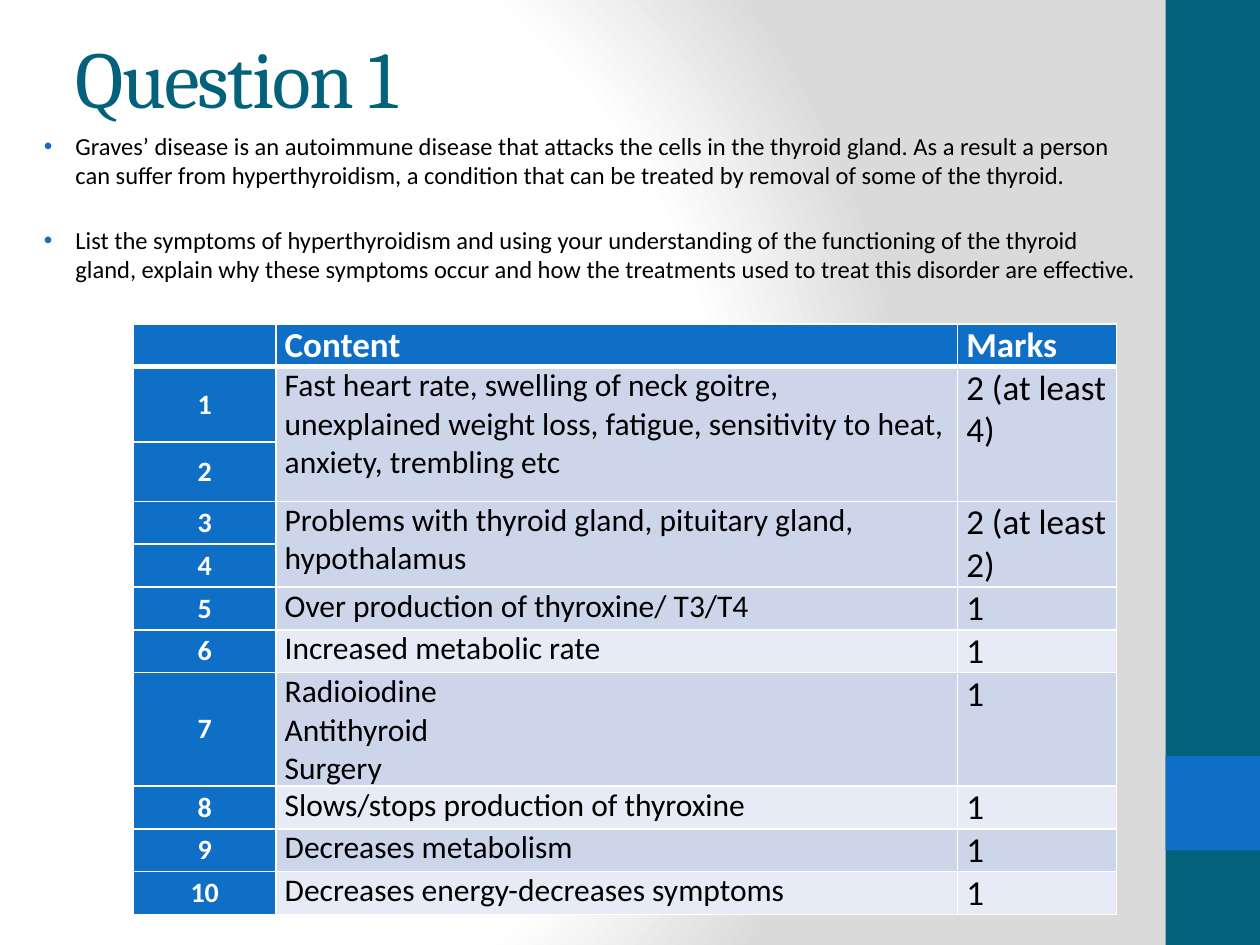
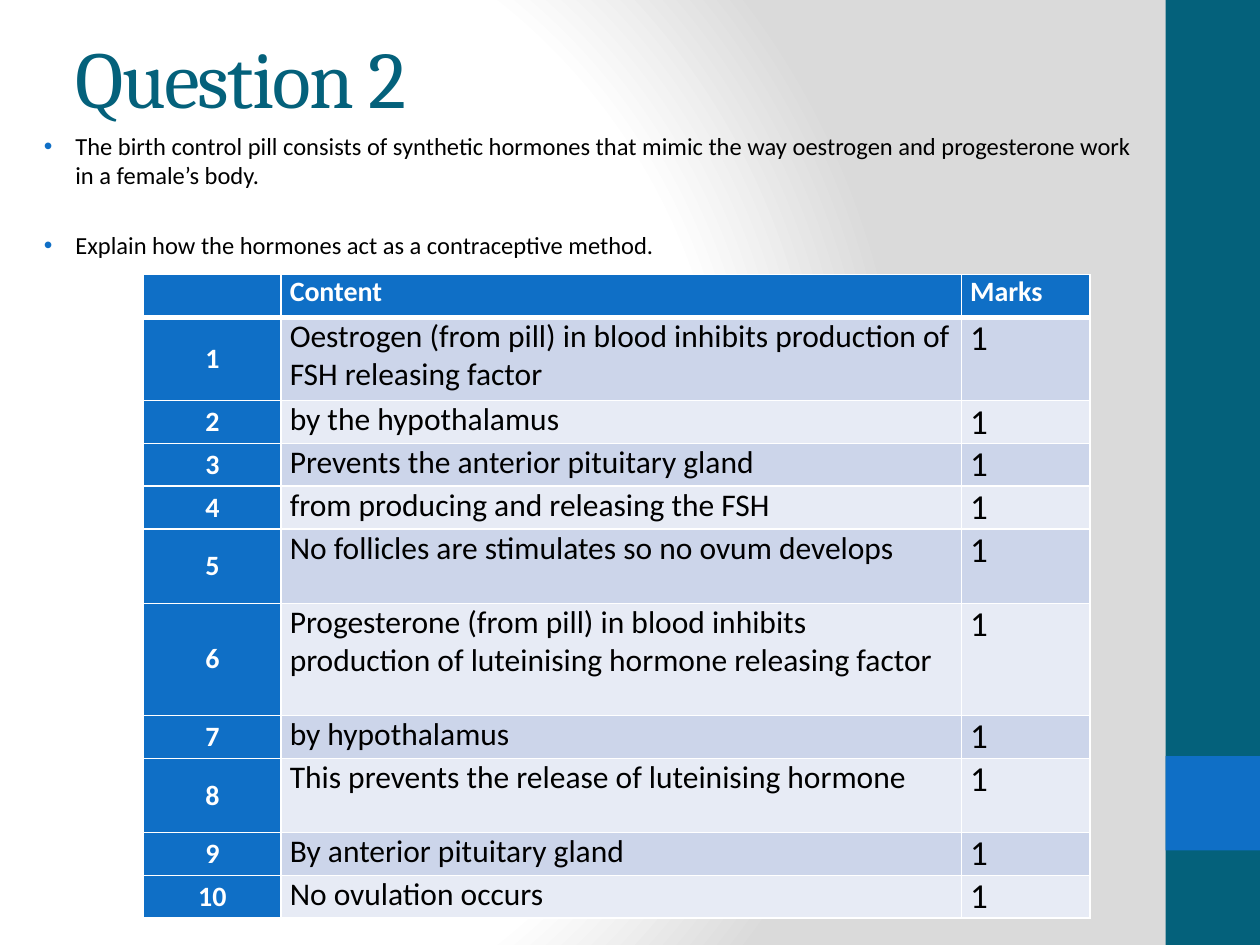
import pptx
import pptx.dml.color
import pptx.enum.shapes
import pptx.enum.text
import pptx.oxml
import pptx.oxml.ns
import pptx.util

Inches, Pt = pptx.util.Inches, pptx.util.Pt
PP_ALIGN, ANCHOR = pptx.enum.text.PP_ALIGN, pptx.enum.text.MSO_ANCHOR

# Content: each answer is (content, marks, row height); None continues the row above
QUESTIONS = [
    {
        "title": "Question 1",
        "prompts": [
            "Graves’ disease is an autoimmune disease that attacks the cells in the thyroid gland. "
            "As a result a person can suffer from hyperthyroidism, a condition that can be treated "
            "by removal of some of the thyroid.",
            "List the symptoms of hyperthyroidism and using your understanding of the functioning "
            "of the thyroid gland, explain why these symptoms occur and how the treatments used "
            "to treat this disorder are effective.",
        ],
        "prompt_gap": 20,
        "table_at": (1.06, 2.57),
        "columns": (1.13, 5.41, 1.26),
        "header_size": 20,
        "answers": [
            ("Fast heart rate, swelling of neck goitre,\vunexplained weight loss, fatigue, "
             "sensitivity to heat, anxiety, trembling etc", "2 (at least 4)", 0.6),
            (None, None, 0.47),
            ("Problems with thyroid gland, pituitary gland, hypothalamus", "2 (at least 2)", 0.34),
            (None, None, 0.34),
            ("Over production of thyroxine/ T3/T4", "1", 0.34),
            ("Increased metabolic rate", "1", 0.34),
            ("Radioiodine\nAntithyroid\nSurgery", "1", 0.9),
            ("Slows/stops production of thyroxine", "1", 0.34),
            ("Decreases metabolism", "1", 0.34),
            ("Decreases energy-decreases symptoms", "1", 0.34),
        ],
    },
    {
        "title": "Question 2",
        "prompts": [
            "The birth control pill consists of synthetic hormones that mimic the way oestrogen "
            "and progesterone work in a female’s body.",
            "Explain how the hormones act as a contraceptive method.",
        ],
        "prompt_gap": 23,
        "table_at": (1.14, 2.18),
        "columns": (1.09, 5.4, 1.02),
        "header_size": 16,
        "answers": [
            ("Oestrogen (from pill) in blood inhibits production of FSH releasing factor", "1", 0.66),
            ("by the hypothalamus", "1", 0.34),
            ("Prevents the anterior pituitary gland", "1", 0.34),
            ("from producing and releasing the FSH", "1", 0.34),
            ("No follicles are stimulates so no ovum develops", "1", 0.59),
            ("Progesterone (from pill) in blood inhibits production of luteinising hormone "
             "releasing factor", "1", 0.89),
            ("by hypothalamus", "1", 0.34),
            ("This prevents the release of luteinising hormone", "1", 0.59),
            ("By anterior pituitary gland", "1", 0.34),
            ("No ovulation occurs", "1", 0.34),
        ],
    },
]

# Shared look
TEAL, BLUE, WHITE, BLACK, GREY = "04617B", "0F6FC6", "FFFFFF", "000000", "DADADA"
ROW_BANDS = ("E7EBF5", "CCD5EA")  # even rows, odd rows
HEADER_HEIGHT = 0.34
WIDTH, HEIGHT = 10, 7.5
SIDE_BANDS = [  # left, top, width, height, colour
    (WIDTH - 0.75, 0, 0.75, HEIGHT, TEAL),
    (WIDTH - 0.75, 0.8 * HEIGHT, 0.75, 0.1 * HEIGHT, BLUE),
]


def color(value):
    return pptx.dml.color.RGBColor.from_string(value)


def xml(text):
    """Parse one DrawingML element inside a wrapper that declares the namespace."""
    return pptx.oxml.parse_xml(f'<a:wrap {pptx.oxml.ns.nsdecls("a")}>{text}</a:wrap>')[0]


def set_background(master):
    master.background.fill.solid()
    plain = master.element.find(".//" + pptx.oxml.ns.qn("p:bgPr"))[0]
    stops = "".join(f'<a:gs pos="{share * 1000}"><a:srgbClr val="{tint}"/></a:gs>'
                    for share, tint in ((0, WHITE), (75, WHITE), (100, GREY)))
    plain.getparent().replace(plain, xml(
        f'<a:gradFill rotWithShape="1"><a:gsLst>{stops}</a:gsLst><a:path path="circle">'
        '<a:fillToRect l="20000" t="50000" r="100000" b="50000"/></a:path></a:gradFill>'))


def add_side_bands(master, page):
    """Draw the bands on a page, then move them to the master so every page shows them."""
    tree = master.element.cSld.spTree
    for index, (left, top, width, height, tint) in enumerate(SIDE_BANDS):
        band = page.shapes.add_shape(pptx.enum.shapes.MSO_SHAPE.RECTANGLE, Inches(left),
                                     Inches(top), Inches(width), Inches(height))
        band.shadow.inherit = False
        band.fill.solid()
        band.fill.fore_color.rgb = color(tint)
        band.line.fill.background()
        band.element.nvSpPr.cNvPr.set("id", str(100 + index))
        tree.insert(2 + index, band.element)


def format_text(paragraph, size, tint, font="Calibri", bold=False):
    for span in paragraph.runs:
        span.font.name, span.font.size, span.font.bold = font, Pt(size), bold
        span.font.color.rgb = color(tint)


def set_title(page, text):
    title = page.shapes.title
    title.left, title.top, title.width, title.height = map(Inches, (0.5, 0.3, 8.33, 0.61))
    frame = title.text_frame
    frame.text = text
    frame.word_wrap = True
    frame.auto_size = pptx.enum.text.MSO_AUTO_SIZE.NONE
    frame.vertical_anchor = ANCHOR.MIDDLE
    paragraph = frame.paragraphs[0]
    paragraph.alignment = PP_ALIGN.LEFT
    format_text(paragraph, 46, TEAL, "Cambria")
    paragraph.runs[0]._r.get_or_add_rPr().set("spc", "-100")


def add_prompts(page, prompts, gap):
    box = page.shapes.add_textbox(*map(Inches, (0.12, 0.99, 9.06, 5.25)))
    frame = box.text_frame
    frame.word_wrap = True
    frame.text = "\n".join(prompts)
    for index, paragraph in enumerate(frame.paragraphs):
        if index:
            paragraph.space_before = Pt(gap)
        properties = paragraph._p.get_or_add_pPr()
        properties.set("marL", str(Inches(0.38)))
        properties.set("indent", str(Inches(-0.25)))
        for bullet in (f'<a:buClr><a:srgbClr val="{BLUE}"/></a:buClr>',
                       '<a:buFont typeface="Arial"/>', '<a:buChar char="•"/>'):
            properties.append(xml(bullet))
        format_text(paragraph, 14, BLACK)


def style_cell(cell, fill, top=1, bottom=1):
    cell.margin_left = cell.margin_right = Inches(0.07)
    cell.margin_top = cell.margin_bottom = 0
    cell.fill.solid()
    cell.fill.fore_color.rgb = color(fill)
    borders = (("lnL", 1), ("lnR", 1), ("lnT", top), ("lnB", bottom))
    for index, (side, points) in enumerate(borders):
        cell._tc.get_or_add_tcPr().insert(index, xml(
            f'<a:{side} w="{Pt(points)}"><a:solidFill><a:srgbClr val="{WHITE}"/>'
            f'</a:solidFill></a:{side}>'))


def fill_cell(cell, text, size, tint, bold=False):
    cell.text_frame.text = text
    for paragraph in cell.text_frame.paragraphs:
        format_text(paragraph, size, tint, bold=bold)


def add_marking_table(page, question):
    answers, columns = question["answers"], question["columns"]
    heights = [HEADER_HEIGHT] + [answer[2] for answer in answers]
    left, top = question["table_at"]
    table = page.shapes.add_table(len(heights), len(columns), Inches(left), Inches(top),
                                  Inches(sum(columns)), Inches(sum(heights))).table
    for column, width in zip(table.columns, columns):
        column.width = Inches(width)
    for row, height in zip(table.rows, heights):
        row.height = Inches(height)

    # Header row, with a heavy rule below
    for cell, heading in zip(table.rows[0].cells, ("", "Content", "Marks")):
        style_cell(cell, BLUE, bottom=3)
        fill_cell(cell, heading, question["header_size"], WHITE, bold=True)

    # Numbered answers
    for number, (content, marks, _) in enumerate(answers, 1):
        cells = [table.cell(number, column) for column in range(len(columns))]
        band = ROW_BANDS[number % 2]
        for cell, fill in zip(cells, (BLUE, band, band)):
            style_cell(cell, fill, top=3 if number == 1 else 1)
        fill_cell(cells[0], str(number), 16, WHITE, bold=True)
        cells[0].vertical_anchor = ANCHOR.MIDDLE
        cells[0].text_frame.paragraphs[0].alignment = PP_ALIGN.CENTER
        if content is None:
            for column in (1, 2):
                table.cell(number - 1, column).merge(cells[column])
        else:
            fill_cell(cells[1], content, 18, BLACK)
            fill_cell(cells[2], marks, 20, BLACK)


def main():
    deck = pptx.Presentation()
    deck.slide_width, deck.slide_height = Inches(WIDTH), Inches(HEIGHT)
    set_background(deck.slide_master)
    for index, question in enumerate(QUESTIONS):
        page = deck.slides.add_slide(deck.slide_layouts.get_by_name("Title Only"))
        if index == 0:
            add_side_bands(deck.slide_master, page)
        set_title(page, question["title"])
        add_prompts(page, question["prompts"], question["prompt_gap"])
        add_marking_table(page, question)
    deck.save("out.pptx")


if __name__ == "__main__":
    main()
